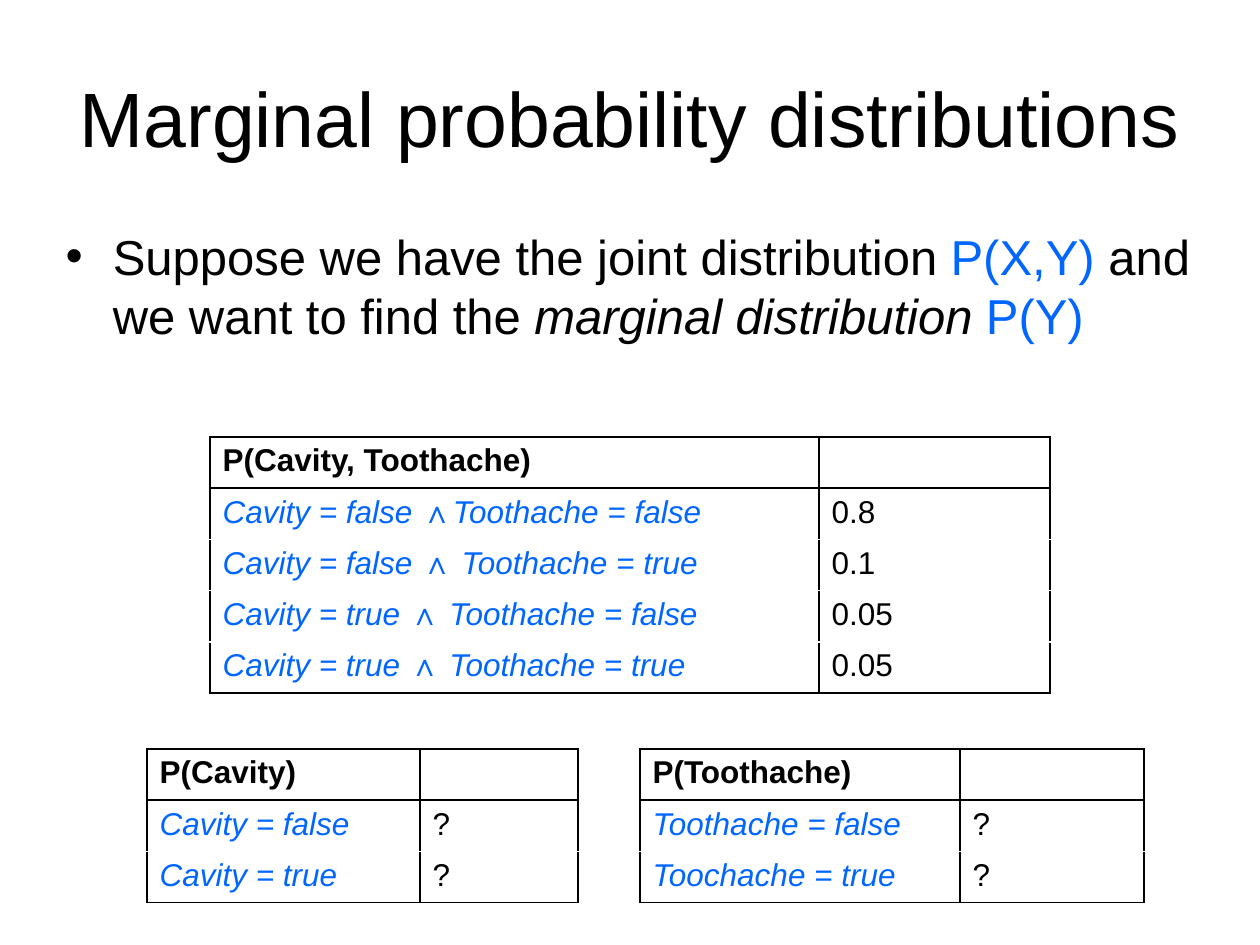
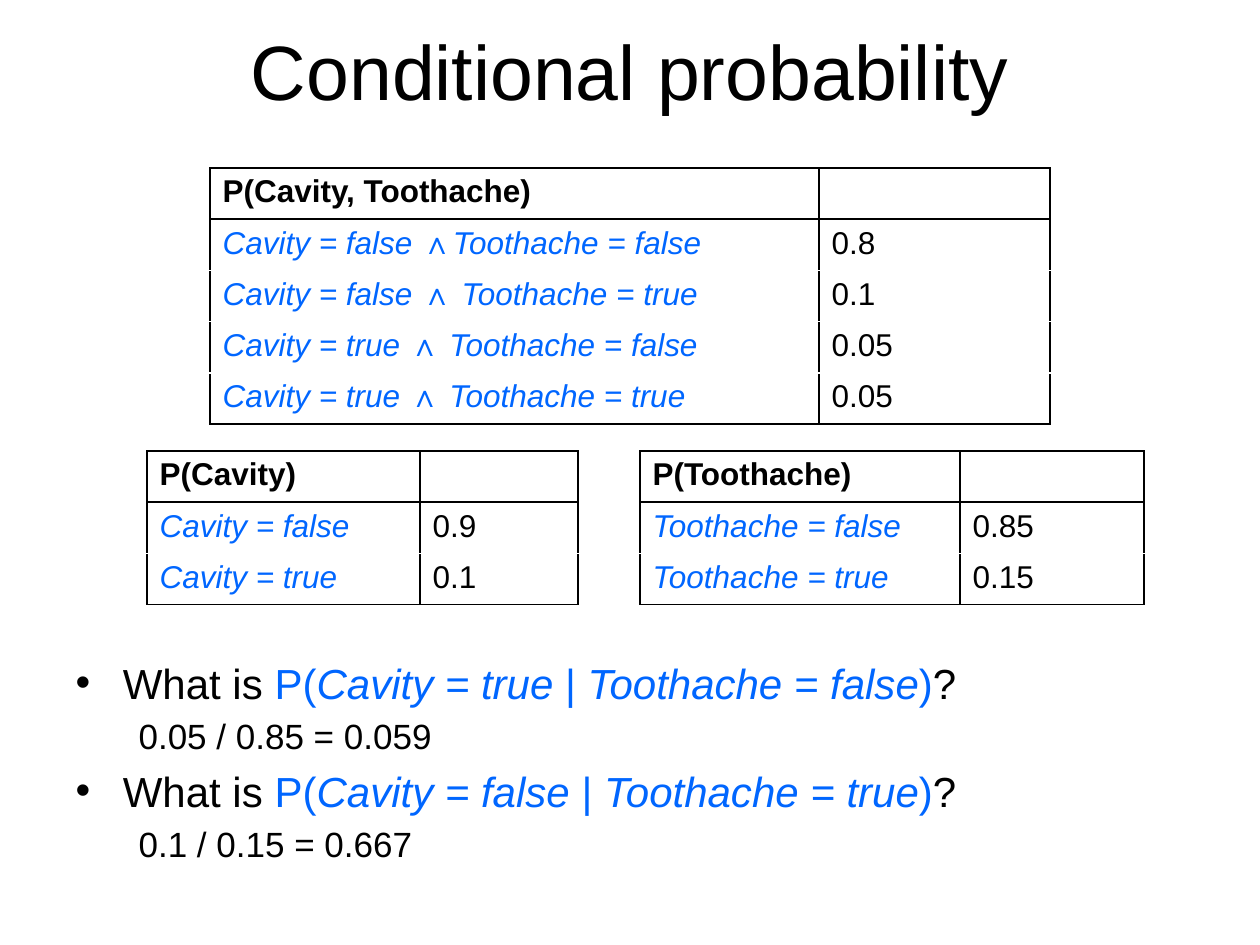
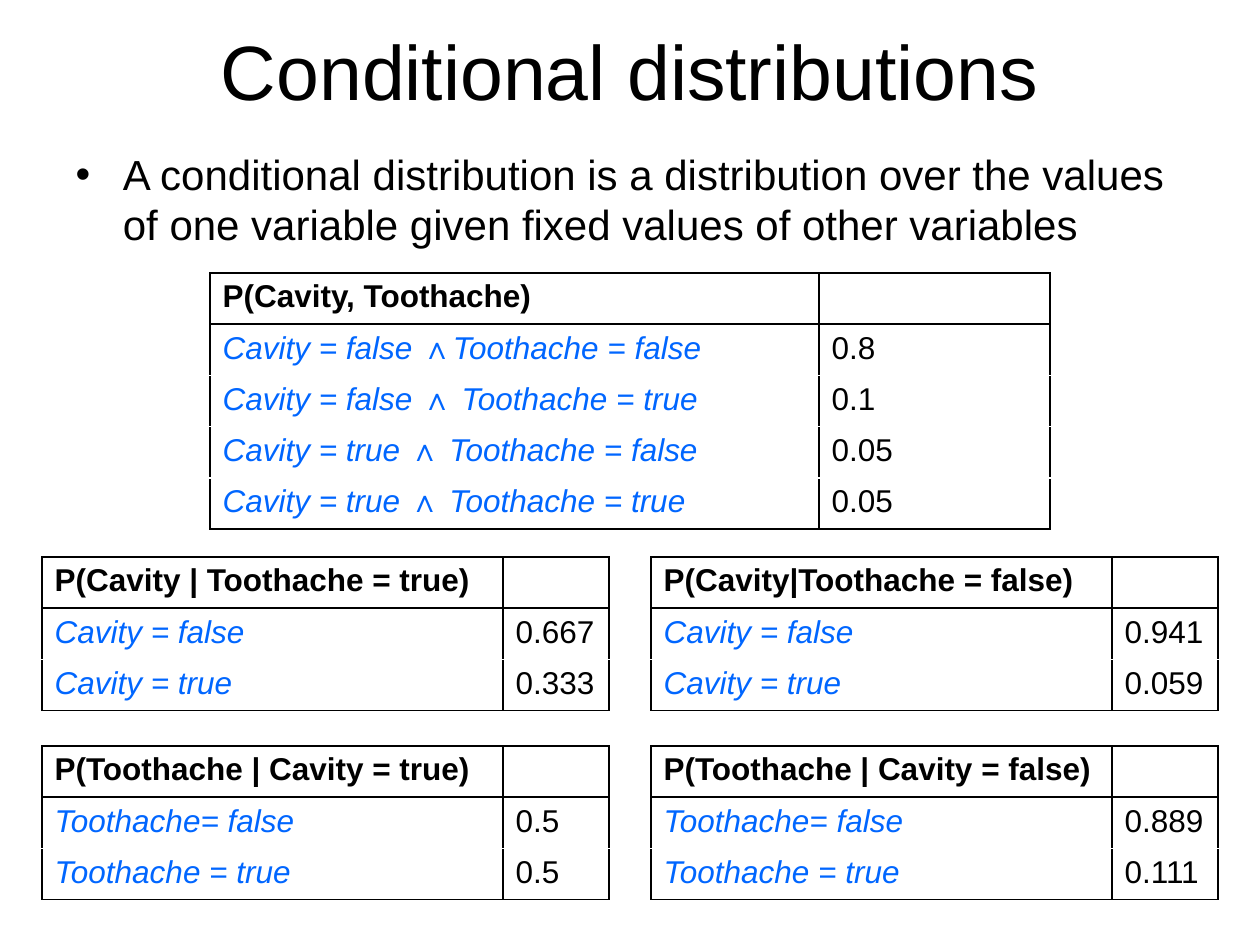
"""Build three slides on marginal and conditional probability."""
from lxml.etree import SubElement as Sub
from pptx import Presentation as Deck
from pptx.dml.color import RGBColor as Rgb
from pptx.enum.text import MSO_ANCHOR as Anchor, MSO_AUTO_SIZE as Fit, PP_ALIGN as Align
from pptx.oxml.ns import qn
from pptx.util import Inches, Pt

HUES = {"ink": "000000", "blue": "0066FF", "paper": "FFFFFF"}
FACE = "Arial"
WIDE, HIGH = 1260, 945
ROW = 51.2
JOINT = [
    ("Cavity = false ∧Toothache = false", "0.8"),
    ("Cavity = false ∧ Toothache = true", "0.1"),
    ("Cavity = true ∧ Toothache = false", "0.05"),
    ("Cavity = true ∧ Toothache = true", "0.05"),
]


def px(size):
    """Turn px into EMU."""
    return Inches(size / 126)


def write(para, text, size=18, hue="ink", bold=False, slant=False):
    """Add one run of text to a paragraph."""
    run = para.add_run()
    run.text = text
    font = run.font
    font.name, font.size = FACE, Pt(size)
    font.bold, font.italic = bold, slant
    font.color.rgb = Rgb.from_string(HUES[hue])


def state(para, text, size=18):
    """Write an event in blue italics with its operators upright."""
    for mark in ("∧", " | "):
        if mark in text:
            left, _, right = text.partition(mark)
            write(para, left, size, "blue", slant=True)
            write(para, mark, size, "blue")
            write(para, right, size, "blue", slant=True)
            return
    write(para, text, size, "blue", slant=True)


def edge(cell, side, hue):
    """Draw one border of a cell."""
    line = Sub(cell._tc.get_or_add_tcPr(), qn(f"a:ln{side}"), w=str(Pt(1)))
    Sub(Sub(line, qn("a:solidFill")), qn("a:srgbClr"), val=HUES[hue])


class Board:
    """Hold the shared style and the current slide."""

    def __init__(self):
        """Start an empty deck."""
        self.deck = Deck()
        self.deck.slide_width, self.deck.slide_height = px(WIDE), px(HIGH)
        self.slide = None

    def place(self, slot, box):
        """Move a placeholder and return its text frame."""
        shape = self.slide.placeholders[slot]
        shape.left, shape.top, shape.width, shape.height = map(px, box)
        frame = shape.text_frame
        frame.auto_size, frame.word_wrap = Fit.NONE, True
        return frame

    def title(self, text, top=10, high=120):
        """Add a slide with its title."""
        self.slide = self.deck.slides.add_slide(self.deck.slide_layouts[1])
        frame = self.place(0, (63, top, WIDE - 126, high))
        frame.vertical_anchor = Anchor.MIDDLE
        para = frame.paragraphs[0]
        para.alignment = Align.CENTER
        write(para, text, 44)

    def body(self, box):
        """Place the list and return a function that adds its items."""
        frame = self.place(1, box)
        frame.paragraphs[0].space_before = Pt(0)
        fresh = [frame.paragraphs[0]]

        def item(level=0):
            """Return the next paragraph of the list."""
            para = fresh.pop() if fresh else frame.add_paragraph()
            para.level = level
            if level:
                Sub(para._p.get_or_add_pPr(), qn("a:buNone"))
            return para

        return item

    def table(self, left, top, cols, head, rows):
        """Add a table of events and their values."""
        count = len(rows) + 1
        box = map(px, (left, top, sum(cols), ROW * count))
        grid = self.slide.shapes.add_table(count, 2, *box).table
        grid.first_row = grid.horz_banding = False
        for col, wide in zip(grid.columns, cols):
            col.width = px(wide)
        for r, pair in enumerate([(head, "")] + rows):
            for c, text in enumerate(pair):
                cell = grid.cell(r, c)
                edge(cell, "L", "ink")
                edge(cell, "R", "ink")
                edge(cell, "T", "ink" if r < 2 else "paper")
                edge(cell, "B", "ink" if r in (0, count - 1) else "paper")
                cell.fill.solid()
                cell.fill.fore_color.rgb = Rgb.from_string(HUES["paper"])
                para = cell.text_frame.paragraphs[0]
                if r and c == 0:
                    state(para, text)
                elif text:
                    write(para, text, bold=r == 0)

    def joint(self, top):
        """Add the table of the joint distribution."""
        self.table(210, top, (609, 231), "P(Cavity, Toothache)", JOINT)

    def sides(self, top, cavity, ache):
        """Add the two marginal tables side by side."""
        self.table(147, top, (273, 158), "P(Cavity)", cavity)
        self.table(640, top, (320, 184), "P(Toothache)", ache)


def marginal(board):
    """Build the slide on marginal distributions."""
    board.title("Marginal probability distributions", 38, 158)
    para = board.body((53, 220, 1155, 624))()
    write(para, "Suppose we have the joint distribution ", 28)
    write(para, "P(X,Y)", 28, "blue")
    write(para, " and we want to find the ", 28)
    write(para, "marginal distribution ", 28, slant=True)
    write(para, "P(Y)", 28, "blue")
    board.joint(437)
    board.sides(749, [("Cavity = false", "?"), ("Cavity = true", "?")],
                [("Toothache = false", "?"), ("Toochache = true", "?")])


def chance(board):
    """Build the slide on conditional probability."""
    board.title("Conditional probability")
    item = board.body((63, 651, 1134, 193))
    for event, answer in (
        ("Cavity = true | Toothache = false", "0.05 / 0.85 = 0.059"),
        ("Cavity = false | Toothache = true", "0.1 / 0.15 = 0.667"),
    ):
        para = item()
        write(para, "What is ", 24)
        write(para, "P(", 24, "blue")
        state(para, event, 24)
        write(para, ")", 24, "blue")
        write(para, "?", 24)
        write(item(1), answer, 20)
    board.joint(168)
    board.sides(451, [("Cavity = false", "0.9"), ("Cavity = true", "0.1")],
                [("Toothache = false", "0.85"), ("Toothache = true", "0.15")])


def given(board):
    """Build the slide on conditional distributions."""
    board.title("Conditional distributions")
    write(board.body((63, 142, 1134, 193))(),
          "A conditional distribution is a distribution over the values "
          "of one variable given fixed values of other variables", 24)
    board.joint(273)
    cavity = ("Cavity = false", "Cavity = true")
    ache = ("Toothache= false", "Toothache = true")
    parts = [
        ("P(Cavity | Toothache = true)", cavity, ("0.667", "0.333")),
        ("P(Cavity|Toothache = false)", cavity, ("0.941", "0.059")),
        ("P(Toothache | Cavity = true)", ache, ("0.5", "0.5")),
        ("P(Toothache | Cavity = false)", ache, ("0.889", "0.111")),
    ]
    for i, (head, names, odds) in enumerate(parts):
        row, col = divmod(i, 2)
        board.table(42 + 609 * col, 557 + 189 * row, (461, 106), head, list(zip(names, odds)))


def main():
    """Build and save the deck."""
    board = Board()
    for build in (marginal, chance, given):
        build(board)
    board.deck.save("out.pptx")


if __name__ == "__main__":
    main()
